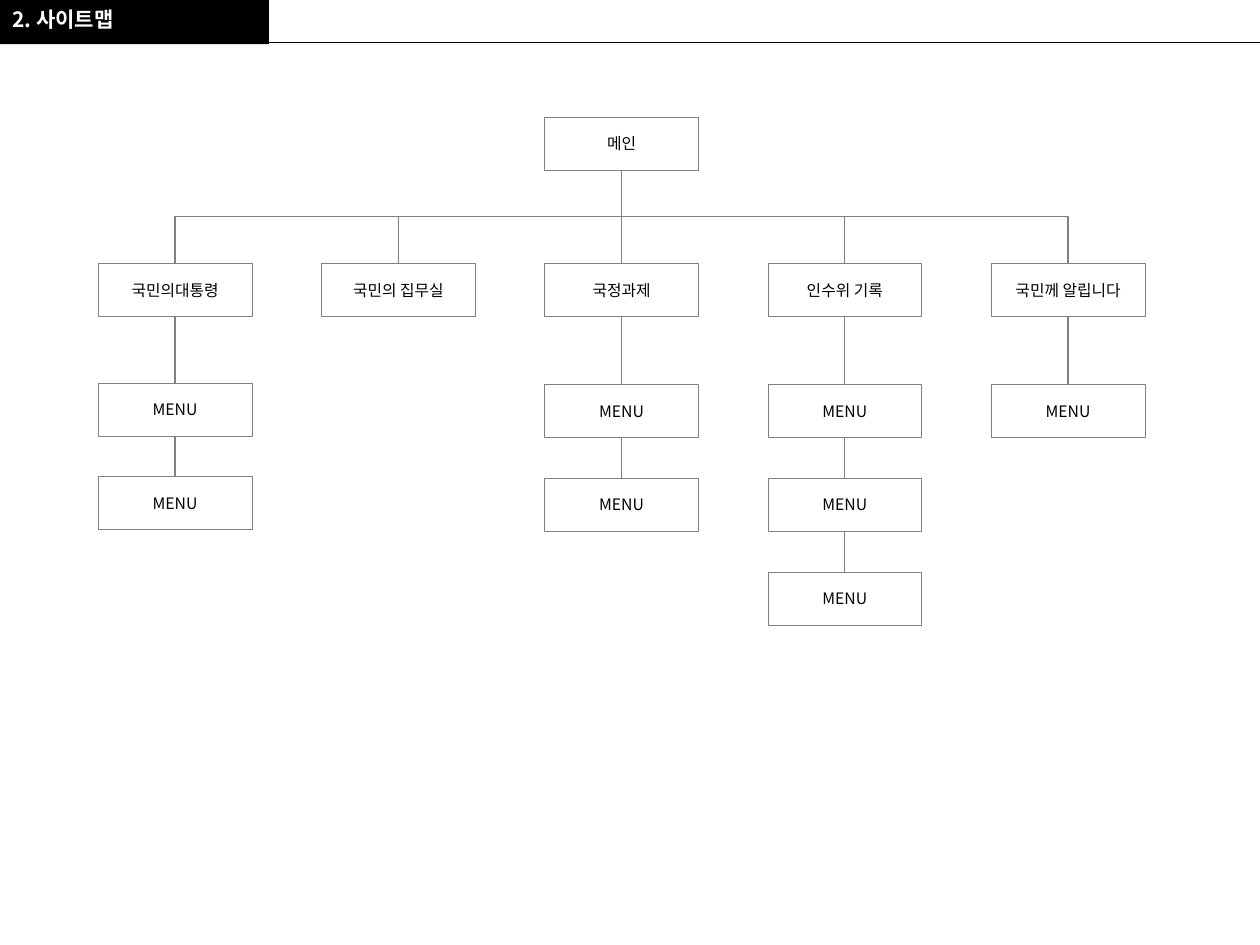
from lxml import etree
from pptx import Presentation
from pptx.dml.color import RGBColor
from pptx.enum.shapes import MSO_CONNECTOR, MSO_SHAPE
from pptx.enum.text import MSO_ANCHOR, PP_ALIGN
from pptx.oxml.ns import qn
from pptx.util import Cm, Pt

BLACK, WHITE, GRAY = "000000", "FFFFFF", "808080"
TOP, BOTTOM = 0, 2  # connection sites of a rectangle


def color(value):
    return RGBColor.from_string(value)


class SiteMap:
    font = "Noto Sans CJK KR"
    box_w, box_h = 3.1, 1.07

    def __init__(self, slide):
        self.s = slide

    def add_run(self, p, text, size, fill, bold=False):
        r = p.add_run()
        r.text = text
        f = r.font
        f.name, f.size, f.bold = self.font, Pt(size), bold
        f.color.rgb = color(fill)
        # East Asian typeface for the Korean text
        ea = etree.SubElement(r._r.get_or_add_rPr(), qn("a:ea"))
        ea.set("typeface", self.font)

    def rect(self, x, y, w, h, fill, line=None):
        sp = self.s.shapes.add_shape(MSO_SHAPE.RECTANGLE, Cm(x), Cm(y), Cm(w), Cm(h))
        sp.shadow.inherit = False
        sp.fill.solid()
        sp.fill.fore_color.rgb = color(fill)
        if line:
            sp.line.color.rgb = color(line)
            sp.line.width = Pt(0.25)
        else:
            sp.line.fill.background()
        return sp

    def box(self, x, y, text):
        sp = self.rect(x, y, self.box_w, self.box_h, WHITE, GRAY)
        tf = sp.text_frame
        tf.vertical_anchor = MSO_ANCHOR.MIDDLE
        p = tf.paragraphs[0]
        p.alignment = PP_ALIGN.CENTER
        self.add_run(p, text, 9, BLACK)
        return sp

    def title(self, x, y, w, h, text):
        tf = self.s.shapes.add_textbox(Cm(x), Cm(y), Cm(w), Cm(h)).text_frame
        tf.word_wrap = True
        tf.margin_top = Cm(0.05)
        self.add_run(tf.paragraphs[0], text, 12, WHITE, bold=True)

    def line(self, x1, y1, x2, y2, stroke, kind=MSO_CONNECTOR.STRAIGHT):
        cxn = self.s.shapes.add_connector(kind, Cm(x1), Cm(y1), Cm(x2), Cm(y2))
        cxn.line.color.rgb = color(stroke)
        cxn.line.width = Pt(0.75)
        etree.SubElement(cxn._element.spPr, qn("a:effectLst"))
        return cxn

    def link(self, parent, child, kind=MSO_CONNECTOR.STRAIGHT):
        cxn = self.line(0, 0, 0, 0, GRAY, kind)
        cxn.begin_connect(parent, BOTTOM)
        cxn.end_connect(child, TOP)
        return cxn

    def branch(self, parent, child):
        """Elbow that leaves the parent downwards, so it is a turned connector."""
        cxn = self.link(parent, child, MSO_CONNECTOR.ELBOW)
        x1, y1, x2, y2 = cxn.begin_x, cxn.begin_y, cxn.end_x, cxn.end_y
        w, h = y2 - y1, abs(x2 - x1)
        cxn.left, cxn.top = (x1 + x2 - w) // 2, (y1 + y2 - h) // 2
        cxn.width, cxn.height = w, h
        to_right = x2 > x1
        xfrm = cxn._element.spPr.find(qn("a:xfrm"))
        xfrm.set("rot", str((270 if to_right else 90) * 60000))
        xfrm.set("flipH", "1" if to_right else "0")


def main():
    prs = Presentation()
    prs.slide_width, prs.slide_height = Cm(25.4), Cm(19.05)
    site = SiteMap(prs.slides.add_slide(prs.slide_layouts[6]))

    # Header
    site.rect(0, 0, 5.42, 0.89, BLACK)
    site.line(5.25, 0.86, 25.4, 0.86, BLACK)
    site.title(0, 0.08, 5.42, 0.81, "2. 사이트맵")

    # Sections: name, number of menus, top of the first menu
    sections = [
        ("국민의대통령", 2, 7.72),
        ("국민의 집무실", 0, 7.75),
        ("국정과제", 2, 7.75),
        ("인수위 기록", 3, 7.75),
        ("국민께 알립니다", 1, 7.75),
    ]
    left, col_step, menu_step = 1.98, 4.5, 1.89
    middle = len(sections) // 2
    root = site.box(left + middle * col_step, 2.36, "메인")

    # Tree
    for i, (name, menus, menu_top) in enumerate(sections):
        x = left + i * col_step
        parent = site.box(x, 5.31, name)
        if i == middle:
            site.link(root, parent)
        else:
            site.branch(root, parent)
        for k in range(menus):
            menu = site.box(x, menu_top + k * menu_step, "MENU")
            site.link(parent, menu)
            parent = menu

    prs.save("out.pptx")


if __name__ == "__main__":
    main()
